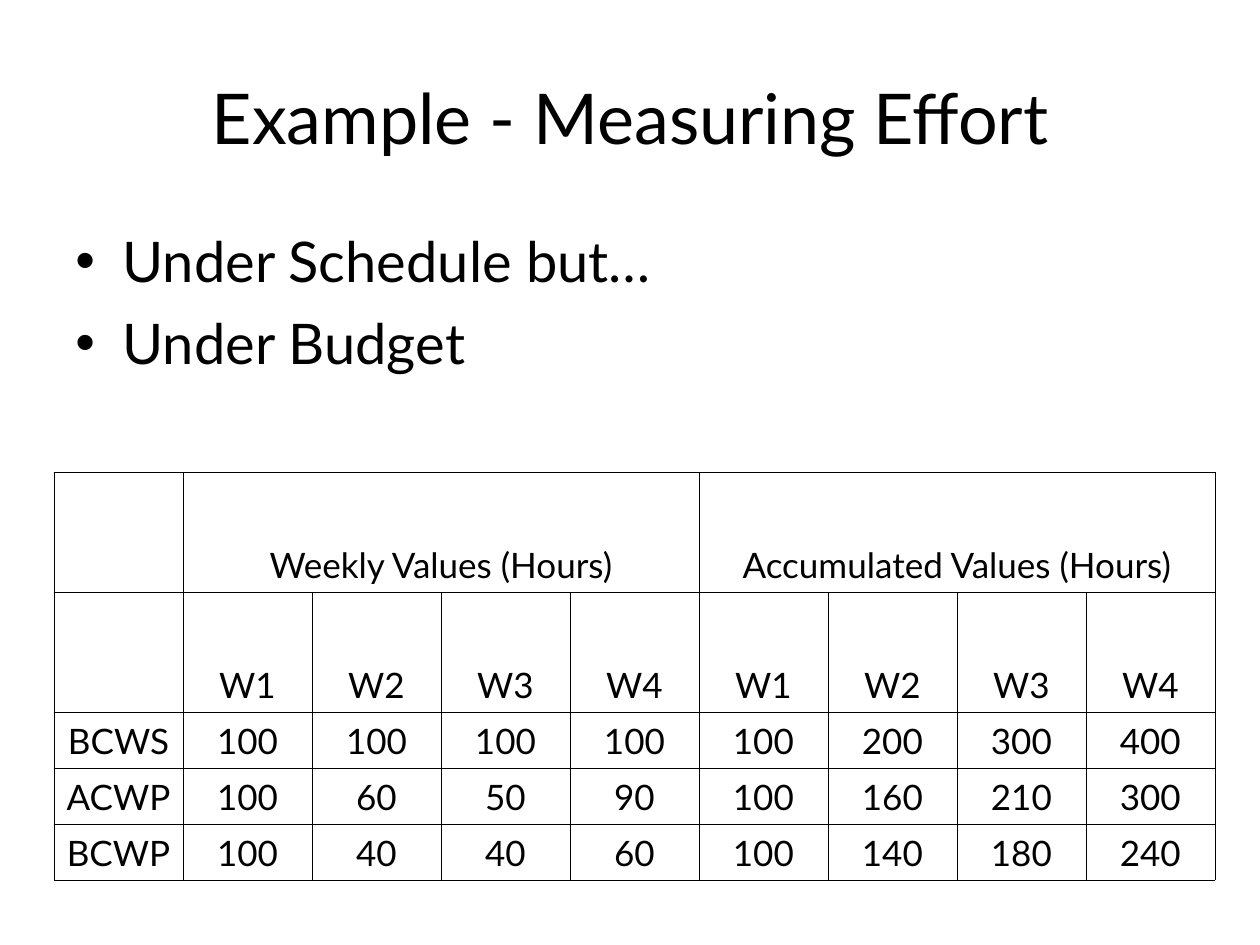
"""Build the slide on measuring effort with a table of weekly and accumulated hours."""
from lxml import etree
from pptx import Presentation
from pptx.dml.color import RGBColor
from pptx.enum.text import MSO_ANCHOR, PP_ALIGN
from pptx.oxml import parse_xml
from pptx.oxml.ns import nsdecls, qn
from pptx.util import Cm, Pt

CENTER, LEFT = PP_ALIGN.CENTER, PP_ALIGN.LEFT
MIDDLE, BOTTOM = MSO_ANCHOR.MIDDLE, MSO_ANCHOR.BOTTOM
FONT, BLACK = "Lato", "000000"
TITLE_ONLY = 5


def color(value):
    return RGBColor.from_string(value)


def format_paragraph(paragraph, size, alignment):
    paragraph.alignment = alignment
    for name, value in {"name": FONT, "size": Pt(size), "bold": False}.items():
        setattr(paragraph.font, name, value)
    paragraph.font.color.rgb = color(BLACK)


presentation = Presentation()
presentation.slide_width, presentation.slide_height = Cm(25.4), Cm(19.05)
slide = presentation.slides.add_slide(presentation.slide_layouts[TITLE_ONLY])

title = slide.shapes.title
title_place = {"left": 1.27, "top": 0.76, "width": 22.86, "height": 3.18}
for name, value in title_place.items():
    setattr(title, name, Cm(value))
title.text_frame.text = "Example - Measuring Effort"
title.text_frame.vertical_anchor = MIDDLE
format_paragraph(title.text_frame.paragraphs[0], 40, CENTER)

findings = ["Under Schedule but…", "Under Budget"]
body = slide.shapes.add_textbox(Cm(1.27), Cm(4.45), Cm(22.86), Cm(4.09))
body.text_frame.word_wrap = True
body.text_frame.text = "\n".join(findings)
for index, paragraph in enumerate(body.text_frame.paragraphs):
    properties = paragraph._p.get_or_add_pPr()
    properties.set("marL", str(Cm(0.95)))
    properties.set("indent", str(Cm(-0.95)))
    bullet_font = etree.SubElement(properties, qn("a:buFont"))
    bullet_font.set("typeface", "Arial")
    bullet = etree.SubElement(properties, qn("a:buChar"))
    bullet.set("char", "•")
    paragraph.space_before = Pt(8 if index else 0)
    format_paragraph(paragraph, 32, LEFT)

weeks = ["W1", "W2", "W3", "W4"]
rows = [
    ["", "Weekly Values (Hours)", "", "", "", "Accumulated Values (Hours)", "", "", ""],
    ["", *weeks, *weeks],
    ["BCWS", 100, 100, 100, 100, 100, 200, 300, 400],
    ["ACWP", 100, 60, 50, 90, 100, 160, 210, 300],
    ["BCWP", 100, 40, 40, 60, 100, 140, 180, 240],
]
row_heights = [2.41, 2.41, 1.13, 1.13, 1.13]
column_width = 2.6
column_count = len(rows[0])
frame = slide.shapes.add_table(
    len(rows), column_count, Cm(1.09), Cm(9.53),
    Cm(column_width * column_count), Cm(sum(row_heights)))
table = frame.table
table.first_row = table.horz_banding = False
for column in table.columns:
    column.width = Cm(column_width)
for row, height in zip(table.rows, row_heights):
    row.height = Cm(height)

cell_format = {"vertical_anchor": BOTTOM, "margin_left": Cm(0.2), "margin_right": Cm(0.2)}
for row_index, values in enumerate(rows):
    for column_index, value in enumerate(values):
        cell = table.cell(row_index, column_index)
        cell.text = str(value)
        for name, setting in cell_format.items():
            setattr(cell, name, setting)
        cell.fill.background()
        format_paragraph(cell.text_frame.paragraphs[0], 20, CENTER)
        for position, side in enumerate(["lnL", "lnR", "lnT", "lnB"]):
            border = parse_xml(
                f'<a:{side} {nsdecls("a")} w="{Pt(0.45)}"><a:solidFill>'
                f'<a:srgbClr val="{BLACK}"/></a:solidFill></a:{side}>')
            cell._tc.get_or_add_tcPr().insert(position, border)

for first in (1, 1 + len(weeks)):
    table.cell(0, first).merge(table.cell(0, first + len(weeks) - 1))

presentation.save("out.pptx")
